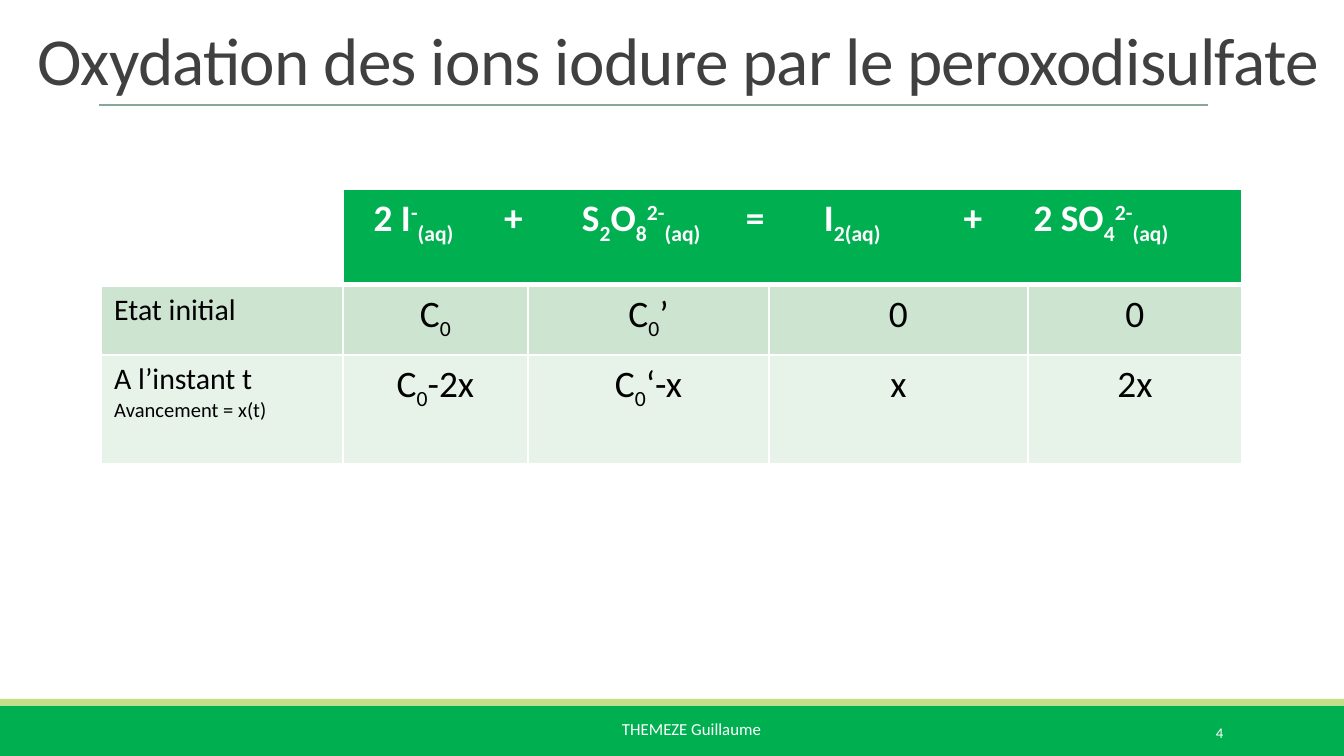
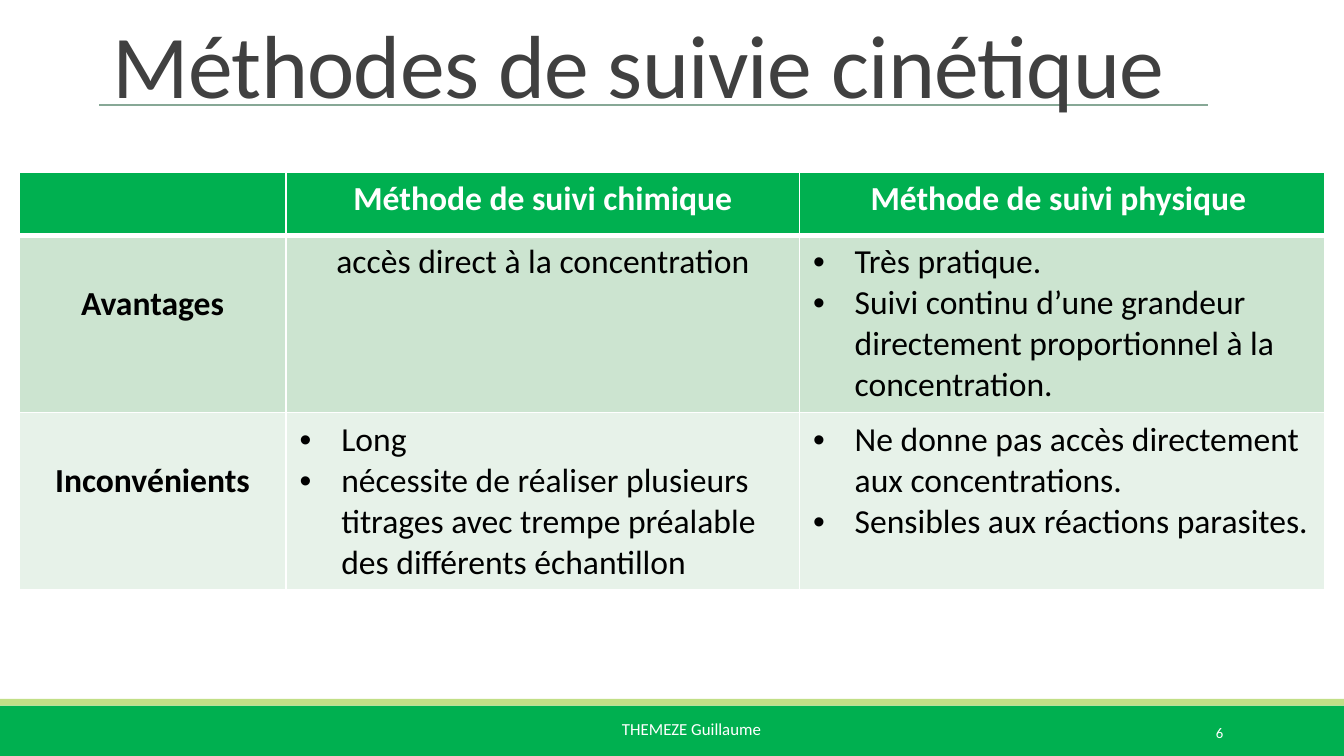
"""Build two chemistry slides on reaction progress and kinetic monitoring."""
from lxml import etree
from pptx import Presentation
from pptx.dml import color as dml
from pptx.enum import shapes, text
from pptx.oxml import ns
from pptx.util import Inches, Pt

COLORS = {
    "green": "00B050", "lime": "C1DF87", "rule": "87A896", "title": "404040",
    "white": "FFFFFF", "black": "000000", "band": "CCE4D0", "pale": "E7F2E9",
}
FONT = "Calibri"
LEFT, CENTER, RIGHT = text.PP_ALIGN.LEFT, text.PP_ALIGN.CENTER, text.PP_ALIGN.RIGHT
BASELINES = {"^": "30000", "_": "-25000"}
SLIDE_WIDTH = 10
SLIDE_HEIGHT = SLIDE_WIDTH * 9 / 16
EQUATION = ("2 I|^-|_(aq)|\t+\tS|_2|O|_8|^2-|_(aq)|\t=\tI|_2(aq)|"
            "\t+\t2 SO|_4|^2-|_(aq)")
EQUATION_TABS = (0.97, 1.55, 2.77, 3.35, 4.39, 4.91)


def rgb(name):
    """Return the named palette colour."""
    return dml.RGBColor.from_string(COLORS[name])


def add_element(parent, tag, **attributes):
    """Append a drawing element to its parent."""
    return etree.SubElement(parent, ns.qn(tag), attributes)


def write_text(paragraph, content, size=18, color="black", bold=False, align=LEFT,
               bullet=False, tabs=(), line_spacing=None, tracking=None):
    """Write runs split by bars, where ^ raises and _ lowers a run."""
    properties = paragraph._p.get_or_add_pPr()
    if bullet:
        indent = Inches(0.31)
        properties.set("marL", str(indent))
        properties.set("indent", str(-indent))
        add_element(properties, "a:buFont", typeface="Arial")
        add_element(properties, "a:buChar", char="•")
    if tabs:
        stops = add_element(properties, "a:tabLst")
        for position in tabs:
            add_element(stops, "a:tab", pos=str(Inches(position)), algn="l")
    paragraph.alignment = align
    if line_spacing:
        paragraph.line_spacing = line_spacing
    for part in content.split("|"):
        baseline = BASELINES.get(part[:1])
        run = paragraph.add_run()
        run.text = part[1:] if baseline else part
        font = run.font
        font.name, font.size, font.bold = FONT, Pt(size), bold
        font.color.rgb = rgb(color)
        if baseline:
            font._element.set("baseline", baseline)
        if tracking:
            font._element.set("spc", str(round(tracking * 100)))


def add_text(slide, box, content, anchor=text.MSO_ANCHOR.TOP, wrap=True, **text_format):
    """Add a text box holding one paragraph."""
    frame = slide.shapes.add_textbox(*map(Inches, box)).text_frame
    frame.word_wrap = wrap
    frame.vertical_anchor = anchor
    write_text(frame.paragraphs[0], content, **text_format)


def add_band(slide, box, color):
    """Add a plain filled rectangle."""
    band = slide.shapes.add_shape(shapes.MSO_SHAPE.RECTANGLE, *map(Inches, box))
    band.shadow.inherit = False
    band.fill.solid()
    band.fill.fore_color.rgb = rgb(color)
    band.line.fill.background()


def add_footer(slide, box, number):
    """Draw the footer bands, author and slide number."""
    left, top, width, height = box
    stripe = 0.05
    add_band(slide, (left, top + stripe, width, height - stripe), "green")
    add_band(slide, (left, top, width, stripe), "lime")
    add_text(slide, (left + 4.53, top + 0.1, 1.23, 0.45), "THEMEZE Guillaume",
             wrap=False, size=9, color="white")
    add_text(slide, (left + 8.12, top + 0.1, 1.08, 0.3), str(number),
             anchor=text.MSO_ANCHOR.MIDDLE, size=7.9, color="white", align=RIGHT)


def add_title(slide, box, content, size):
    """Write the title above the shared thin rule."""
    rule = slide.shapes.add_connector(
        shapes.MSO_CONNECTOR.STRAIGHT, *map(Inches, (0.74, 0.78, 8.99, 0.78)))
    rule.line.color.rgb = rgb("rule")
    rule.line.width = Pt(1)
    add_element(rule._element.spPr, "a:effectLst")
    add_text(slide, box, content, anchor=text.MSO_ANCHOR.BOTTOM, size=size,
             color="title", line_spacing=0.85, tracking=-0.4)


def style_cell(cell, row, fill):
    """Give a cell white borders, thicker under the header, and a fill."""
    properties = cell._tc.get_or_add_tcPr()
    widths = {"L": 1, "R": 1, "T": 3 if row == 1 else 1, "B": 3 if row == 0 else 1}
    for side, width in widths.items():
        line = add_element(properties, f"a:ln{side}", w=str(Pt(width)))
        solid = add_element(line, "a:solidFill")
        add_element(solid, "a:srgbClr", val=COLORS["white"])
    cell.fill.solid()
    cell.fill.fore_color.rgb = rgb(fill)


def add_table(slide, origin, columns, rows, contents):
    """Add a table whose cells hold lists of (text, format) paragraphs."""
    box = (*origin, sum(columns), sum(rows))
    table = slide.shapes.add_table(len(rows), len(columns), *map(Inches, box)).table
    table.first_row = table.horz_banding = False
    for column, width in zip(table.columns, columns):
        column.width = Inches(width)
    for row, height in zip(table.rows, rows):
        row.height = Inches(height)
    for row, (fill, cells) in enumerate(zip(("green", "band", "pale"), contents)):
        for column in range(len(columns)):
            style_cell(table.cell(row, column), row, fill)
        for column, paragraphs in enumerate(cells):
            frame = table.cell(row, column).text_frame
            for index, (content, text_format) in enumerate(paragraphs):
                paragraph = frame.add_paragraph() if index else frame.paragraphs[0]
                write_text(paragraph, content, **text_format)
    return table


def styled(*lines, **text_format):
    """Pair every line with the same format."""
    return [(line, text_format) for line in lines]


def add_progress_table(slide, origin):
    """Add the reaction progress table."""
    def amounts(*values):
        return [styled(value, size=20, align=CENTER) for value in values]

    contents = [
        [[], styled(EQUATION, size=20, color="white", bold=True, tabs=EQUATION_TABS)],
        [styled("Etat initial", size=16), *amounts("C|_0", "C|_0|’", "0", "0")],
        [styled("A l’instant t", size=16) + styled("Avancement = x(t)", size=11),
         *amounts("C|_0|-2x", "C|_0|‘-x", "x", "2x")],
    ]
    table = add_table(slide, origin, (1.8, 1.38, 1.79, 1.93, 1.59),
                      (0.71, 0.52, 0.81), contents)
    table.cell(0, 0).fill.fore_color.rgb = rgb("white")
    equation = table.cell(0, 1)
    equation.merge(table.cell(0, 4))
    equation.margin_left = Inches(0.23)


def add_methods_table(slide, origin):
    """Add the table comparing chemical and physical monitoring."""
    header = {"color": "white", "bold": True, "align": CENTER}
    label = {"bold": True, "align": CENTER}
    contents = [
        [[], styled("Méthode de suivi chimique", **header),
         styled("Méthode de suivi physique ", **header)],
        [styled("Avantages", **label),
         styled("accès direct à la concentration", align=CENTER),
         styled("Très pratique.",
                "Suivi continu d’une grandeur directement proportionnel à la "
                "concentration.", bullet=True)],
        [styled("Inconvénients", **label),
         styled("Long",
                "nécessite de réaliser plusieurs titrages avec trempe préalable "
                "des différents échantillon", bullet=True),
         styled("Ne donne pas accès directement aux concentrations.",
                "Sensibles aux réactions parasites.", bullet=True)],
    ]
    table = add_table(slide, origin, (1.99, 3.82, 3.91), (0.47, 1.32, 1.32), contents)
    for row in (1, 2):
        table.cell(row, 0).margin_top = Inches(0.36)


def add_slide(presentation, number, title, title_box, title_size):
    """Add a blank slide with the shared footer and title."""
    slide = presentation.slides.add_slide(presentation.slide_layouts[6])
    add_footer(slide, (0, 5.2, SLIDE_WIDTH, SLIDE_HEIGHT - 5.2), number)
    add_title(slide, title_box, title, title_size)
    return slide


def main():
    """Build and save the presentation."""
    presentation = Presentation()
    presentation.slide_width = Inches(SLIDE_WIDTH)
    presentation.slide_height = Inches(SLIDE_HEIGHT)
    progress = add_slide(presentation, 4,
                         "Oxydation des ions iodure par le peroxodisulfate",
                         (0.18, 0.03, 10.35, 0.76), 36)
    add_progress_table(progress, (0.75, 1.41))
    methods = add_slide(presentation, 6, "Méthodes de suivie cinétique",
                        (0.74, 0.16, 8.25, 0.76), 48)
    add_methods_table(methods, (0.14, 1.28))
    presentation.save("out.pptx")


if __name__ == "__main__":
    main()
